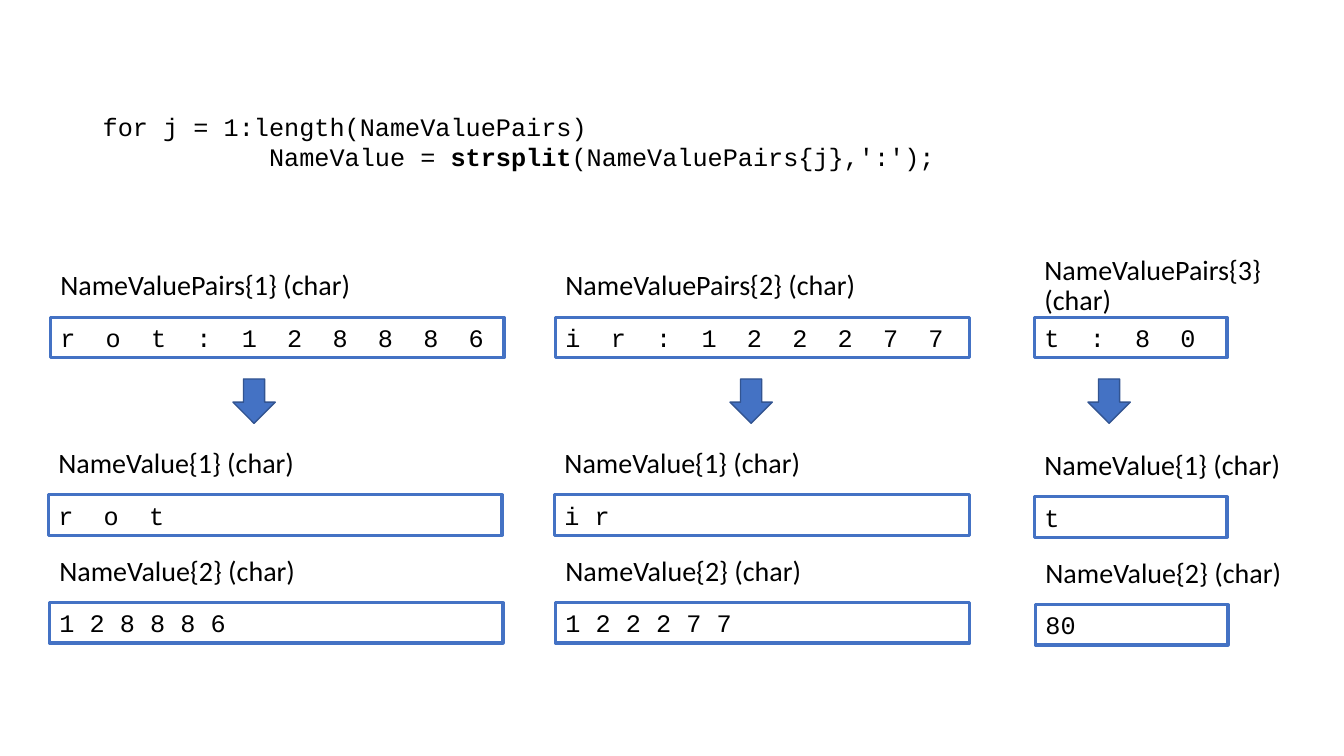
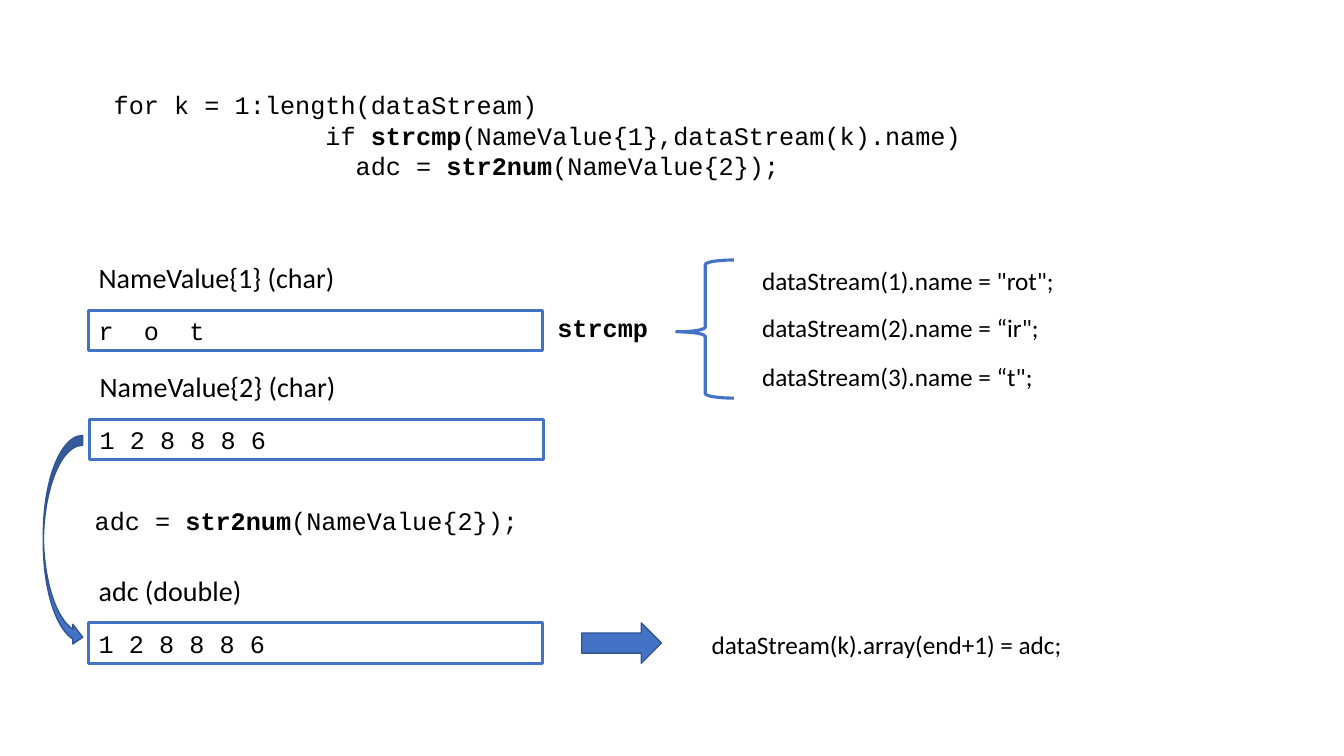
"""Two slides on splitting name-value pairs and converting the values to numbers."""
from pptx import Presentation
from pptx import util as u
from pptx.dml.color import RGBColor
from pptx.enum import shapes, text

BLUE = RGBColor(0x44, 0x72, 0xC4)
DARK_BLUE = RGBColor(0x32, 0x54, 0x91)
BLACK = RGBColor(0, 0, 0)
CODE, PROSE = "Courier New", "Calibri"
CHAR_WIDTH = 0.15
FIELD_HEIGHT = 0.4
LABEL_RISE, LABEL_HEIGHT = 0.59, 0.57
SHAPE = shapes.MSO_SHAPE


def add_block(slide, at, lines, font=CODE, outlined=False, label=False):
    """Add text; each line is (indent in characters, text with *bold* parts)."""
    box = [u.Inches(length) for length in at]
    if outlined:
        block = slide.shapes.add_shape(SHAPE.RECTANGLE, *box)
        block.shadow.inherit = False
        block.fill.background()
        block.line.color.rgb = BLUE
        block.line.width = u.Pt(2.25)
    else:
        block = slide.shapes.add_textbox(*box)
    frame = block.text_frame
    frame.word_wrap = True
    frame.vertical_anchor = text.MSO_ANCHOR.MIDDLE if label else text.MSO_ANCHOR.TOP
    frame.auto_size = text.MSO_AUTO_SIZE.NONE if label else text.MSO_AUTO_SIZE.SHAPE_TO_FIT_TEXT
    for number, (indent, line) in enumerate(lines):
        paragraph = frame.paragraphs[0] if number == 0 else frame.add_paragraph()
        paragraph.alignment = text.PP_ALIGN.LEFT
        if indent:
            paragraph._p.get_or_add_pPr().set("marL", str(u.Inches(indent * CHAR_WIDTH)))
        if label:
            paragraph.line_spacing = 0.9
        for part, words in enumerate(line.split("*")):
            if words:
                run = paragraph.add_run()
                run.text = words
                run.font.name = font
                run.font.size = u.Pt(20 if label else 18)
                run.font.bold = part % 2 == 1
                run.font.color.rgb = BLACK


def add_arrow(slide, kind, *at):
    """Add a filled block arrow."""
    arrow = slide.shapes.add_shape(kind, *[u.Inches(length) for length in at])
    arrow.shadow.inherit = False
    arrow.fill.solid()
    arrow.fill.fore_color.rgb = BLUE
    arrow.line.color.rgb = DARK_BLUE
    arrow.line.width = u.Pt(1)


deck = Presentation()
deck.slide_width, deck.slide_height = u.Inches(13.33), u.Inches(7.5)
split_slide, convert_slide = [deck.slides.add_slide(deck.slide_layouts[6]) for _ in range(2)]

add_block(split_slide, (0.92, 1.05, 9.45, 0.71), [
    (0, "for j = 1:length(NameValuePairs)"),
    (11, "NameValue = *strsplit*(NameValuePairs{j},':');"),
])
add_block(convert_slide, (0.88, 0.84, 9.84, 1.01), [
    (1, "for k = 1:length(dataStream)"),
    (15, "if *strcmp*(NameValue{1},dataStream(k).name)"),
    (17, "adc = *str2num*(NameValue{2});"),
])

fields = [
    (split_slide, 0.5, 3.15, 4.5, 3.5, "NameValuePairs{1} (char)", "r  o  t  :  1  2  8  8  8  6"),
    (split_slide, 0.48, 4.91, 4.5, 3, "NameValue{1} (char)", "r  o  t"),
    (split_slide, 0.49, 5.98, 4.5, 3, "NameValue{2} (char)", "1 2 8 8 8 6"),
    (split_slide, 5.51, 3.15, 4.11, 3.5, "NameValuePairs{2} (char)", "i  r  :  1  2  2  2  7  7"),
    (split_slide, 5.5, 4.91, 4.12, 3, "NameValue{1} (char)", "i r"),
    (split_slide, 5.51, 5.98, 4.11, 3, "NameValue{2} (char)", "1 2 2 2 7 7"),
    (split_slide, 10.26, 3.15, 1.91, 3, "NameValuePairs{3} (char)", "t  :  8  0"),
    (split_slide, 10.26, 4.93, 1.91, 3, "NameValue{1} (char)", "t"),
    (split_slide, 10.27, 6, 1.91, 3, "NameValue{2} (char)", "80"),
    (convert_slide, 0.88, 3.08, 4.5, 3, "NameValue{1} (char)", "r  o  t"),
    (convert_slide, 0.89, 4.16, 4.5, 3, "NameValue{2} (char)", "1 2 8 8 8 6"),
    (convert_slide, 0.88, 6.18, 4.5, 3, "adc (double)", "1 2 8 8 8 6"),
]
for slide, left, top, width, label_width, label, value in fields:
    add_block(slide, (left, top, width, FIELD_HEIGHT), [(0, value)], outlined=True)
    add_block(slide, (left, top - LABEL_RISE, label_width, LABEL_HEIGHT), [(0, label)],
              PROSE, label=True)

for left in (2.31, 7.24, 10.79):
    add_arrow(split_slide, SHAPE.DOWN_ARROW, left, 3.76, 0.42, 0.44)

add_block(convert_slide, (5.43, 3.05, 1.23, 0.4), [(0, "*strcmp*")])
brace = convert_slide.shapes.add_shape(
    SHAPE.LEFT_BRACE, u.Inches(6.71), u.Inches(2.58), u.Inches(0.57), u.Inches(1.37))
brace.shadow.inherit = False
brace.adjustments[0], brace.adjustments[1] = 0.08, 0.52
brace.fill.background()
brace.line.color.rgb = BLUE
brace.line.width = u.Pt(2.25)

names = [(2.58, 'dataStream(1).name = "rot";'),
         (3.05, 'dataStream(2).name = “ir";'),
         (3.54, 'dataStream(3).name = “t";')]
for top, name in names:
    add_block(convert_slide, (7.46, top, 3.59, 0.4), [(0, name)], PROSE)

add_block(convert_slide, (0.84, 4.96, 4.88, 0.4), [(0, "adc = *str2num*(NameValue{2});")])
add_arrow(convert_slide, SHAPE.CURVED_RIGHT_ARROW, 0.43, 4.32, 0.39, 2.1)
add_arrow(convert_slide, SHAPE.RIGHT_ARROW, 5.77, 6.18, 0.79, 0.4)
add_block(convert_slide, (6.96, 6.19, 4.5, 0.4), [(0, "dataStream(k).array(end+1) = adc;")], PROSE)

deck.save("out.pptx")
